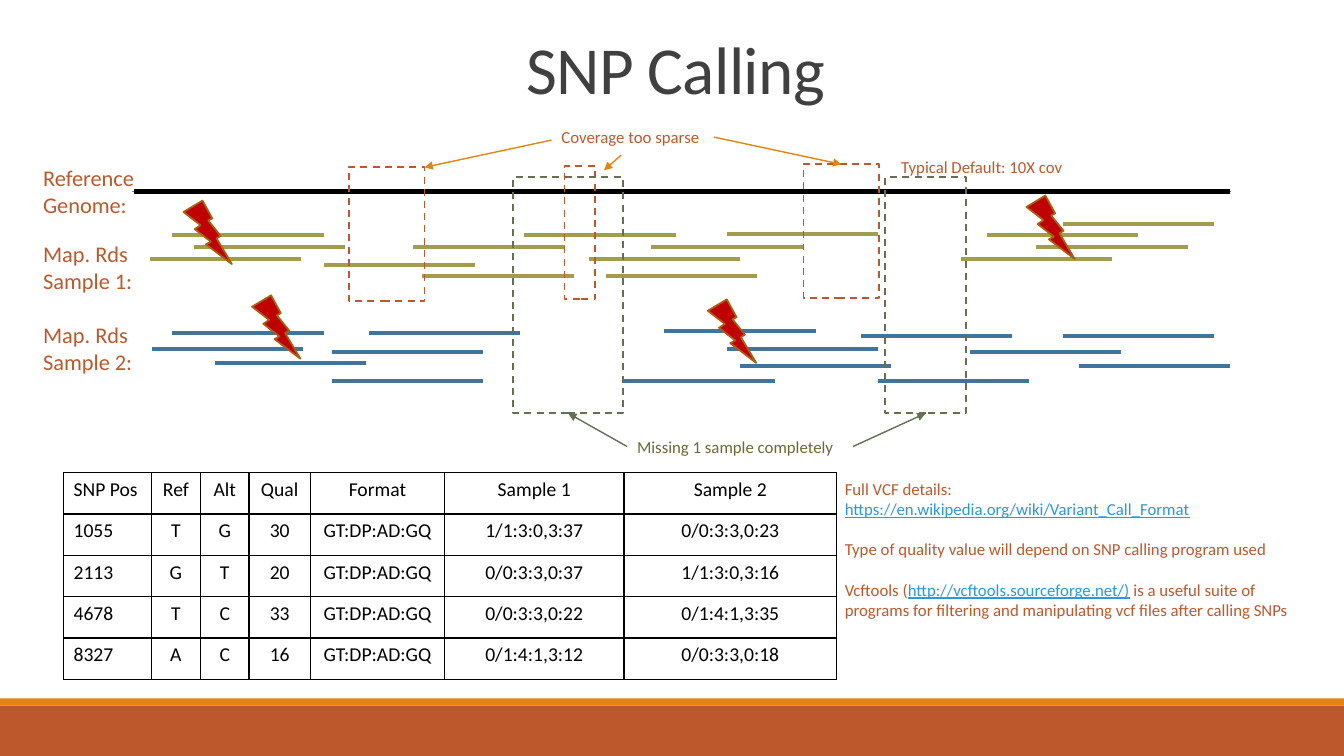
import dataclasses

import lxml.etree
import pptx
import pptx.dml.color
import pptx.enum.dml
import pptx.enum.shapes
import pptx.enum.text
import pptx.oxml.ns
import pptx.util

Inches, Pt = pptx.util.Inches, pptx.util.Pt
RGB = pptx.dml.color.RGBColor.from_string
SHAPES = pptx.enum.shapes.MSO_SHAPE
ALIGN = pptx.enum.text.PP_ALIGN
TOP, LEFT, BOTTOM, RIGHT = range(4)


@dataclasses.dataclass(frozen=True)
class Theme:
    font: str = "Calibri"
    rust: str = "BD582C"
    orange: str = "E48312"
    black: str = "000000"
    gray: str = "808080"
    title: str = "404040"
    sample_1: str = "A39B4E"
    sample_2: str = "40749B"
    green: str = "637052"
    olive: str = "6D6834"
    link: str = "2998E3"
    bolt: str = "C00000"
    bolt_edge: str = "A9610D"
    title_size: int = 48
    label_size: int = 16
    table_size: int = 14
    note_size: int = 12


def add_xml(parent, tag, **attributes):
    return lxml.etree.SubElement(parent, pptx.oxml.ns.qn(tag), attributes)


def apply(target, values):
    for name, value in values.items():
        setattr(target, name, value)


class SlideBuilder:
    def __init__(self, slide, theme):
        self.slide, self.theme = slide, theme

    def style(self, font, size, color, **extra):
        apply(font, {"name": self.theme.font, "size": Pt(size), **extra})
        font.color.rgb = RGB(color)

    def title(self, text, box):
        title = self.slide.shapes.title
        apply(title, dict(zip(("left", "top", "width", "height"), map(Inches, box))))
        apply(title.text_frame, {
            "text": text, "word_wrap": True,
            "vertical_anchor": pptx.enum.text.MSO_ANCHOR.MIDDLE})
        paragraph = title.text_frame.paragraphs[0]
        apply(paragraph, {"alignment": ALIGN.CENTER, "line_spacing": 0.85})
        font = paragraph.runs[0].font
        self.style(font, self.theme.title_size, self.theme.title)
        font._element.set("spc", "-50")

    def text(self, paragraphs, box, size, color, gaps=()):
        """Each paragraph is a list of (text, is_link) runs."""
        holder = self.slide.shapes.add_textbox(*map(Inches, box))
        frame = holder.text_frame
        frame.word_wrap = True
        for index, runs in enumerate(paragraphs):
            paragraph = frame.add_paragraph() if index else frame.paragraphs[0]
            if index in gaps:
                paragraph.space_before = Pt(size * 1.2)
            for words, is_link in runs:
                run = paragraph.add_run()
                run.text = words
                self.style(run.font, size, self.theme.link if is_link else color,
                           underline=is_link)
        return holder

    def shape(self, kind, box, fill=None, line=None, dash=None):
        shape = self.slide.shapes.add_shape(kind, *map(Inches, box))
        shape.shadow.inherit = False
        if fill:
            shape.fill.solid()
            shape.fill.fore_color.rgb = RGB(fill)
        else:
            shape.fill.background()
        if line:
            shape.line.color.rgb = RGB(line)
            apply(shape.line, {"width": Pt(1.25), "dash_style": dash})
        else:
            shape.line.fill.background()
        return shape

    def line(self, start, end, color, width, arrow=False, begin=None, finish=None):
        connector = self.slide.shapes.add_connector(
            pptx.enum.shapes.MSO_CONNECTOR.STRAIGHT, *map(Inches, (*start, *end)))
        connector.line.color.rgb = RGB(color)
        connector.line.width = Pt(width)
        if arrow:
            add_xml(connector.line._get_or_add_ln(), "a:tailEnd", type="triangle")
        add_xml(connector._element.spPr, "a:effectLst")
        if begin:
            connector.begin_connect(*begin)
        if finish:
            connector.end_connect(*finish)

    def table(self, rows, left, top, widths, row_height):
        table = self.slide.shapes.add_table(
            len(rows), len(widths), Inches(left), Inches(top),
            Inches(sum(widths)), Inches(row_height * len(rows))).table
        apply(table, {"first_row": False, "horz_banding": False})
        for column, width in zip(table.columns, widths):
            column.width = Inches(width)
        for r, row in enumerate(rows):
            for c, value in enumerate(row):
                cell = table.cell(r, c)
                cell.text = value
                paragraph = cell.text_frame.paragraphs[0]
                paragraph.alignment = ALIGN.CENTER if c else ALIGN.LEFT
                self.style(paragraph.runs[0].font, self.theme.table_size, self.theme.black)
                properties = cell._tc.get_or_add_tcPr()
                for side in ("a:lnL", "a:lnR", "a:lnT", "a:lnB"):
                    border = add_xml(properties, side, w=str(Pt(1)))
                    add_xml(add_xml(border, "a:solidFill"), "a:srgbClr", val=self.theme.black)
                cell.fill.background()


def main():
    deck = pptx.Presentation()
    deck.slide_width, deck.slide_height = Inches(13.33), Inches(7.5)
    theme = Theme()
    page = SlideBuilder(deck.slides.add_slide(deck.slide_layouts[5]), theme)

    # Footer bands, rule and title
    page.shape(SHAPES.RECTANGLE, (0, 7, 13.33, 0.5), theme.rust)
    page.shape(SHAPES.RECTANGLE, (0, 6.93, 13.33, 0.07), theme.orange)
    page.line((1.31, 1.9), (12.21, 1.9), theme.gray, 0.5)
    page.title("SNP Calling", (1.2, 0.31, 11, 0.84))

    # Track labels and reference genome
    track_labels = [(1.58, ["Reference Genome:"]), (2.33, ["Map. Rds", "Sample 1:"]),
                    (3.14, ["Map. Rds", "Sample 2:"])]
    for top, lines in track_labels:
        page.text([[(words, False)] for words in lines], (0.33, top, 1.17, 0.64),
                  theme.label_size, theme.rust)
    page.line((1.33, 1.9), (12.2, 1.9), theme.black, 3)

    # Mapped reads: height of each row and where its reads start
    read_length = 1.5
    mapped_reads = {
        theme.sample_1: {2.22: [10.54], 2.32: [7.21], 2.33: [1.71, 5.2, 9.79],
                         2.45: [1.92, 4.1, 6.46, 10.28], 2.57: [1.49, 5.84, 9.53],
                         2.63: [3.21], 2.74: [4.19, 6.01]},
        theme.sample_2: {3.28: [6.59], 3.3: [1.71, 3.66], 3.33: [8.54, 10.54],
                         3.46: [1.51, 7.21], 3.49: [3.29, 9.62], 3.6: [2.13],
                         3.63: [7.34, 10.7], 3.78: [3.29, 6.19, 8.71]},
    }
    for color, read_rows in mapped_reads.items():
        for y, starts in read_rows.items():
            for x in starts:
                page.line((x, y), (x + read_length, y), color, 3)

    # Regions with poor coverage
    dash = pptx.enum.dml.MSO_LINE.DASH
    regions = [((3.46, 1.66, 0.75, 1.33), theme.rust), ((5.6, 1.65, 0.3, 1.32), theme.rust),
               ((7.97, 1.63, 0.75, 1.33), theme.rust), ((5.09, 1.76, 1.09, 2.34), theme.green),
               ((8.78, 1.76, 0.8, 2.34), theme.green)]
    _, _, sparse_right, missing_left, missing_right = [
        page.shape(SHAPES.RECTANGLE, box, line=color, dash=dash) for box, color in regions]

    # Notes on the regions
    notes = [("Coverage too sparse", (5.47, 1.21, 1.61, 0.3), theme.rust),
             ("Typical Default: 10X cov", (8.84, 1.51, 2.03, 0.3), theme.rust),
             ("Missing 1 sample completely", (6.22, 4.28, 2.24, 0.3), theme.olive)]
    sparse_note, _, missing_note = [
        page.text([[(words, False)]], box, theme.note_size, color)
        for words, box, color in notes]

    # Arrows from notes to regions
    page.line((5.47, 1.39), (4.21, 1.66), theme.orange, 1, arrow=True)
    page.line((6.16, 1.54), (5.99, 1.69), theme.orange, 1, arrow=True)
    page.line((7.08, 1.36), (8.35, 1.63), theme.orange, 1, arrow=True,
              begin=(sparse_note, RIGHT), finish=(sparse_right, TOP))
    page.line((8.46, 4.43), (9.18, 4.1), theme.green, 1, arrow=True,
              begin=(missing_note, RIGHT), finish=(missing_right, BOTTOM))
    page.line((6.22, 4.43), (5.64, 4.1), theme.green, 1, arrow=True,
              begin=(missing_note, LEFT), finish=(missing_left, BOTTOM))

    # SNP markers
    for left, top in [(1.82, 1.99), (2.5, 2.93), (7.02, 2.97), (10.18, 1.94)]:
        page.shape(SHAPES.LIGHTNING_BOLT, (left, top, 0.48, 0.63), theme.bolt, theme.bolt_edge)

    # Variant table
    call_format = "GT:DP:AD:GQ"
    variants = [
        ("SNP Pos", "Ref", "Alt", "Qual", "Format", "Sample 1", "Sample 2"),
        ("1055", "T", "G", "30", call_format, "1/1:3:0,3:37", "0/0:3:3,0:23"),
        ("2113", "G", "T", "20", call_format, "0/0:3:3,0:37", "1/1:3:0,3:16"),
        ("4678", "T", "C", "33", call_format, "0/0:3:3,0:22", "0/1:4:1,3:35"),
        ("8327", "A", "C", "16", call_format, "0/1:4:1,3:12", "0/0:3:3,0:18"),
    ]
    page.table(variants, 0.63, 4.69, (0.87, 0.49, 0.48, 0.61, 1.33, 1.78, 2.11), 0.41)

    # File format details
    vcf_details = [
        [("Full VCF details:", False)],
        [("https://en.wikipedia.org/wiki/Variant_Call_Format", True)],
        [("Type of quality value will depend on SNP calling program used", False)],
        [("Vcftools (", False), ("http://vcftools.sourceforge.net/)", True),
         (" is a useful suite of programs for filtering and manipulating vcf files "
          "after calling SNPs", False)],
    ]
    page.text(vcf_details, (8.28, 4.7, 4.68, 1.51), theme.note_size, theme.rust, gaps=(2, 3))

    deck.save("out.pptx")


if __name__ == "__main__":
    main()
